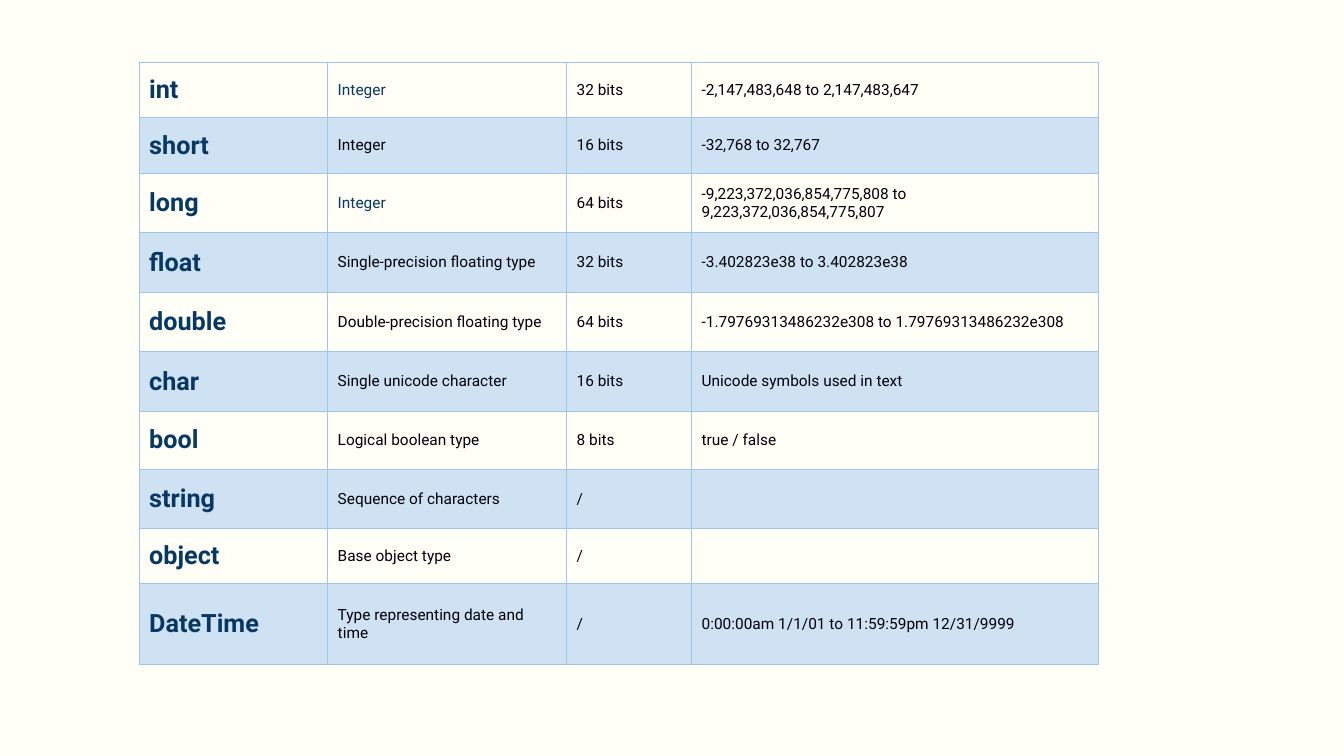
import dataclasses
import typing

import lxml.etree
import pptx
import pptx.dml.color
import pptx.enum.text
import pptx.oxml.ns
import pptx.util

Inches = pptx.util.Inches


@dataclasses.dataclass(frozen=True)
class Theme:
    page: str = "FFFEF7"
    band: str = "CFE2F3"
    rule: str = "9FC5E8"
    navy: str = "073763"
    ink: str = "00000A"
    font: str = "Roboto"
    name_size: float = 18
    text_size: float = 11
    rule_size: float = 0.75


@dataclasses.dataclass(frozen=True)
class Kind:
    """One data type, shown as one row."""
    name: str
    about: str
    size: str
    span: str
    height: float
    tint: str = Theme.ink


THEME = Theme()
LEFT, TOP = 1.38, 0.62
WIDTHS = (1.87, 2.37, 1.24, 4.04)
KINDS = (
    Kind("int", "Integer", "32 bits", "-2,147,483,648 to 2,147,483,647", 0.55, THEME.navy),
    Kind("short", "Integer", "16 bits", "-32,768 to 32,767", 0.55),
    Kind("long", "Integer", "64 bits",
         "-9,223,372,036,854,775,808 to 9,223,372,036,854,775,807", 0.59, THEME.navy),
    Kind("float", "Single-precision floating type", "32 bits",
         "-3.402823e38 to 3.402823e38", 0.59),
    Kind("double", "Double-precision floating type", "64 bits",
         "-1.79769313486232e308 to 1.79769313486232e308", 0.59),
    Kind("char", "Single unicode character", "16 bits", "Unicode symbols used in text", 0.59),
    Kind("bool", "Logical boolean type", "8 bits", "true / false", 0.58),
    Kind("string", "Sequence of characters", "/", "", 0.58),
    Kind("object", "Base object type", "/", "", 0.55),
    Kind("DateTime", "Type representing date and time", "/",
         "0:00:00am 1/1/01 to 11:59:59pm 12/31/9999", 0.8),
)


def rgb(code: str) -> pptx.dml.color.RGBColor:
    return pptx.dml.color.RGBColor.from_string(code)


def write(cell: typing.Any, text: str, *, size: float = THEME.text_size,
          color: str = THEME.ink, bold: bool = False) -> None:
    """Put formatted text in a cell."""
    cell.vertical_anchor = pptx.enum.text.MSO_ANCHOR.MIDDLE
    cell.margin_left = cell.margin_right = Inches(0.1)
    cell.margin_top = cell.margin_bottom = Inches(0.07)
    if not text:
        return
    run = cell.text_frame.paragraphs[0].add_run()
    run.text = text
    run.font.name = THEME.font
    run.font.size = pptx.util.Pt(size)
    run.font.bold = bold
    run.font.color.rgb = rgb(color)


def frame(cell: typing.Any) -> None:
    """Draw a thin rule on all four sides of a cell."""
    qn = pptx.oxml.ns.qn
    props = cell._tc.get_or_add_tcPr()
    for side in ("a:lnL", "a:lnR", "a:lnT", "a:lnB"):
        line = lxml.etree.SubElement(props, qn(side), w=str(pptx.util.Pt(THEME.rule_size)))
        fill = lxml.etree.SubElement(line, qn("a:solidFill"))
        lxml.etree.SubElement(fill, qn("a:srgbClr"), val=THEME.rule)


def paint(cell: typing.Any, band: bool) -> None:
    """Tint a banded cell and leave the others clear."""
    if band:
        cell.fill.solid()
        cell.fill.fore_color.rgb = rgb(THEME.band)
    else:
        cell.fill.background()


def draw(slide: typing.Any) -> None:
    """Build the table of data types."""
    high = sum(kind.height for kind in KINDS)
    table = slide.shapes.add_table(
        len(KINDS), len(WIDTHS), Inches(LEFT), Inches(TOP),
        Inches(sum(WIDTHS)), Inches(high)).table
    table.first_row = table.horz_banding = False
    for col, width in zip(table.columns, WIDTHS):
        col.width = Inches(width)

    for i, kind in enumerate(KINDS):
        row = table.rows[i]
        row.height = Inches(kind.height)
        for cell in row.cells:
            frame(cell)
            paint(cell, i % 2 == 1)
        name, about, size, span = row.cells
        write(name, kind.name, size=THEME.name_size, color=THEME.navy, bold=True)
        write(about, kind.about, color=kind.tint)
        write(size, kind.size)
        write(span, kind.span)


def main() -> None:
    deck = pptx.Presentation()
    deck.slide_width, deck.slide_height = Inches(13.33), Inches(7.5)

    # Blank page with a cream ground
    slide = deck.slides.add_slide(deck.slide_layouts[6])
    slide.background.fill.solid()
    slide.background.fill.fore_color.rgb = rgb(THEME.page)

    # Data types
    draw(slide)
    deck.save("out.pptx")


if __name__ == "__main__":
    main()
